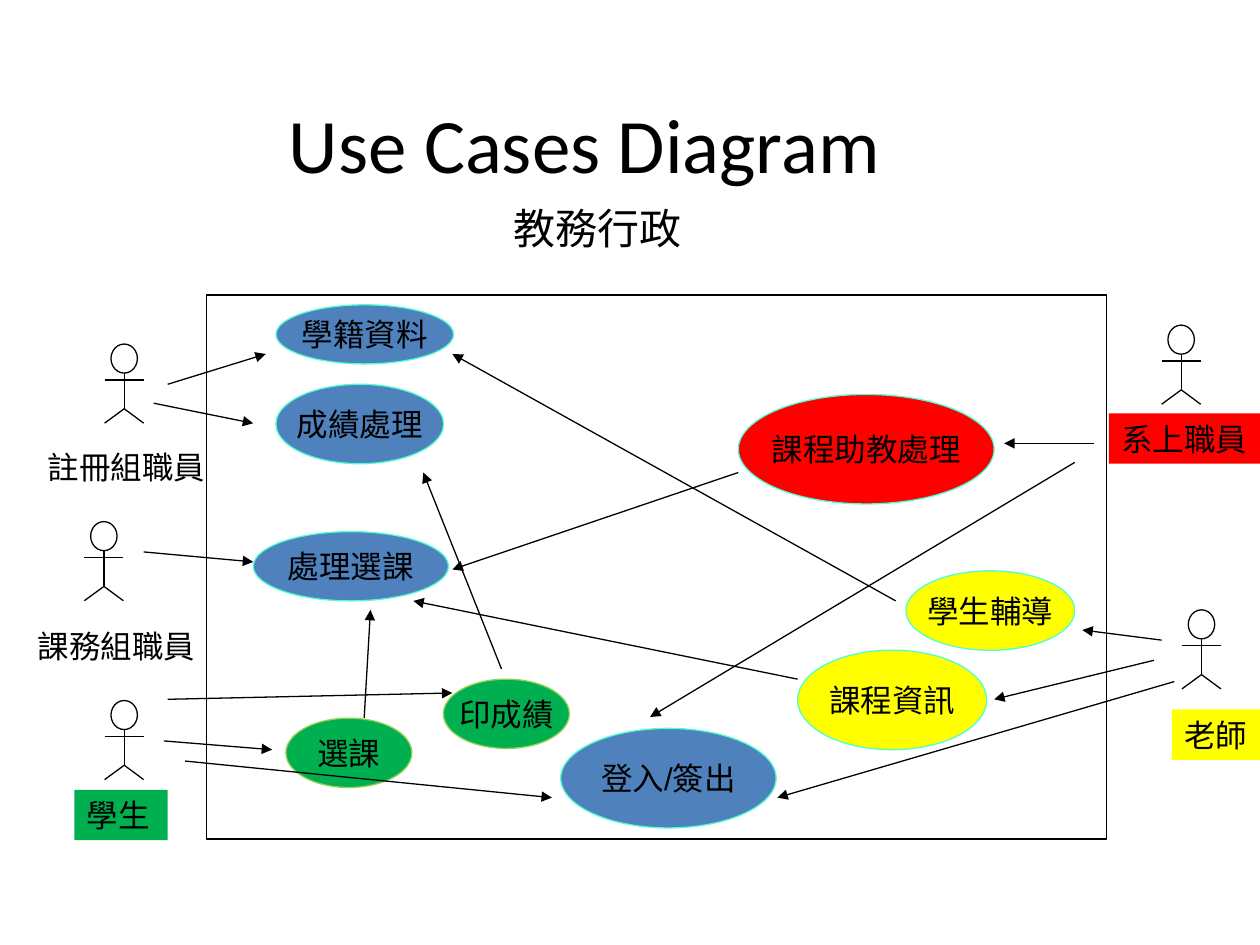
"""Build the use case diagram slide for academic affairs."""
from lxml import etree
from pptx import Presentation
from pptx.dml.color import RGBColor
from pptx.enum.shapes import MSO_CONNECTOR, MSO_SHAPE
from pptx.enum.text import MSO_ANCHOR, MSO_AUTO_SIZE, PP_ALIGN
from pptx.oxml.ns import qn
from pptx.util import Pt

LINE = MSO_CONNECTOR.STRAIGHT
RECT, OVAL = MSO_SHAPE.RECTANGLE, MSO_SHAPE.OVAL
MIDDLE, TOP = MSO_ANCHOR.MIDDLE, MSO_ANCHOR.TOP
CENTER, LEFT = PP_ALIGN.CENTER, PP_ALIGN.LEFT
GROW = MSO_AUTO_SIZE.SHAPE_TO_FIT_TEXT

BLACK = RGBColor(0, 0, 0)
WHITE = RGBColor(0xFF, 0xFF, 0xFF)
RED = RGBColor(0xFF, 0, 0)
YELLOW = RGBColor(0xFF, 0xFF, 0)
GREEN = RGBColor(0, 0xB0, 0x50)
BLUE = RGBColor(0x4F, 0x81, 0xBD)
AQUA = RGBColor(0x4F, 0xFF, 0xD1)
LIME = RGBColor(0x92, 0xD0, 0x50)

TITLE = ("Use Cases Diagram", (56.2, 33.8, 555.8, 95.8))
SUBTITLE = ("教務行政", (286.6, 112.3, 110.2, 36))
SYSTEM = (118.1, 168.5, 514.1, 311)

ROLES = [
    ("系上職員", (633.6, 236.2, 86.4, 28.8), RED),
    ("老師", (669.6, 405.4, 50.4, 28.8), YELLOW),
    ("課務組職員", (14.4, 355, 104.4, 28.8), None),
    ("學生", (42.5, 451.4, 53.3, 28.8), GREEN),
    ("註冊組職員", (20.2, 252.7, 104.4, 28.8), None),
]

USE_CASES = [
    ("學籍資料", (157.7, 174.2, 101.5, 33.8), BLUE, AQUA),
    ("成績處理", (157.7, 219.6, 95.8, 45.4), BLUE, AQUA),
    ("處理選課", (144.7, 303.8, 111.6, 39.6), BLUE, AQUA),
    ("登入/簽出", (320.4, 416.2, 123.1, 56.9), BLUE, AQUA),
    ("課程助教處理", (421.9, 225.4, 146.2, 62.6), RED, AQUA),
    ("學生輔導", (517.7, 326.2, 96.5, 45.4), YELLOW, AQUA),
    ("課程資訊", (455.8, 371.5, 108, 56.9), YELLOW, AQUA),
    ("選課", (163.4, 410.4, 72, 39.6), GREEN, LIME),
    ("印成績", (253.4, 388.1, 72, 39.6), GREEN, LIME),
]

ACTORS = [(59.8, 196.6), (48.2, 298.1), (59.8, 400.3), (663.8, 185.8), (675.4, 348.5)]
HEAD = (3.6, 0, 15.1, 16.6)
LIMBS = [
    (0, 20.5, 22.3, 20.5),
    (11.2, 16.6, 11.2, 37),
    (11.2, 37, 0, 45.2),
    (11.2, 37, 22.3, 45.2),
]

ARROWS = [
    (95.8, 219.6, 151.9, 202.3),
    (87.8, 230.4, 144.7, 241.9),
    (82.1, 315.4, 144.7, 321.1),
    (95.8, 399.6, 258.5, 396),
    (93.6, 423.4, 155.5, 428.4),
    (105.8, 434.9, 315.4, 455.8),
    (208.1, 410.4, 211.7, 348.5),
    (286.6, 382.3, 241.9, 270),
    (421.9, 270, 258.5, 325.4),
    (455.8, 388.1, 236.2, 343.4),
    (511.9, 343.4, 258.5, 202.3),
    (625, 253.4, 573.8, 253.4),
    (614.2, 264.2, 371.5, 409.7),
    (663.8, 365.8, 618.5, 360),
    (659.5, 377.3, 568.1, 399.6),
    (671, 389.5, 444.2, 455.8),
]


def add_figure(shapes, kind, box, fill, outline):
    figure = shapes.add_shape(kind, *map(Pt, box))
    figure.shadow.inherit = False
    figure.fill.solid()
    figure.fill.fore_color.rgb = fill
    if outline is None:
        figure.line.fill.background()
    else:
        figure.line.color.rgb = outline
        figure.line.width = Pt(0.75)
    return figure


def write(figure, words, size=18, font="Arial", align=LEFT, anchor=TOP, wrap=False):
    frame = figure.text_frame
    frame.word_wrap = wrap
    frame.vertical_anchor = anchor
    paragraph = frame.paragraphs[0]
    paragraph.text = words
    paragraph.alignment = align
    paragraph.font.size = Pt(size)
    paragraph.font.name = font
    paragraph.font.color.rgb = BLACK
    return frame


def add_line(shapes, ends, arrow=False):
    line = shapes.add_connector(LINE, *map(Pt, ends))
    line.line.color.rgb = BLACK
    line.line.width = Pt(0.75)
    if arrow:
        etree.SubElement(line.line._get_or_add_ln(), qn("a:tailEnd"), type="triangle")
    etree.SubElement(line._element.spPr, qn("a:effectLst"))


def add_actor(shapes, left, top):
    actor = shapes.add_group_shape().shapes
    x, y, width, height = HEAD
    add_figure(actor, OVAL, (left + x, top + y, width, height), WHITE, BLACK)
    for x1, y1, x2, y2 in LIMBS:
        add_line(actor, (left + x1, top + y1, left + x2, top + y2))


def main():
    deck = Presentation()
    deck.slide_width, deck.slide_height = Pt(720), Pt(540)
    shapes = deck.slides.add_slide(deck.slide_layouts[6]).shapes

    words, box = TITLE
    write(shapes.add_textbox(*map(Pt, box)), words, 44, "Calibri", CENTER, MIDDLE, True)
    add_figure(shapes, RECT, SYSTEM, WHITE, BLACK)
    words, box = SUBTITLE
    write(shapes.add_textbox(*map(Pt, box)), words, 24).auto_size = GROW

    for words, box, fill in ROLES:
        if fill is None:
            role = shapes.add_textbox(*map(Pt, box))
        else:
            role = add_figure(shapes, RECT, box, fill, None)
        write(role, words).auto_size = GROW
    for words, box, fill, outline in USE_CASES:
        write(add_figure(shapes, OVAL, box, fill, outline), words, align=CENTER, anchor=MIDDLE)
    for left, top in ACTORS:
        add_actor(shapes, left, top)
    for ends in ARROWS:
        add_line(shapes, ends, arrow=True)

    deck.save("out.pptx")


if __name__ == "__main__":
    main()
